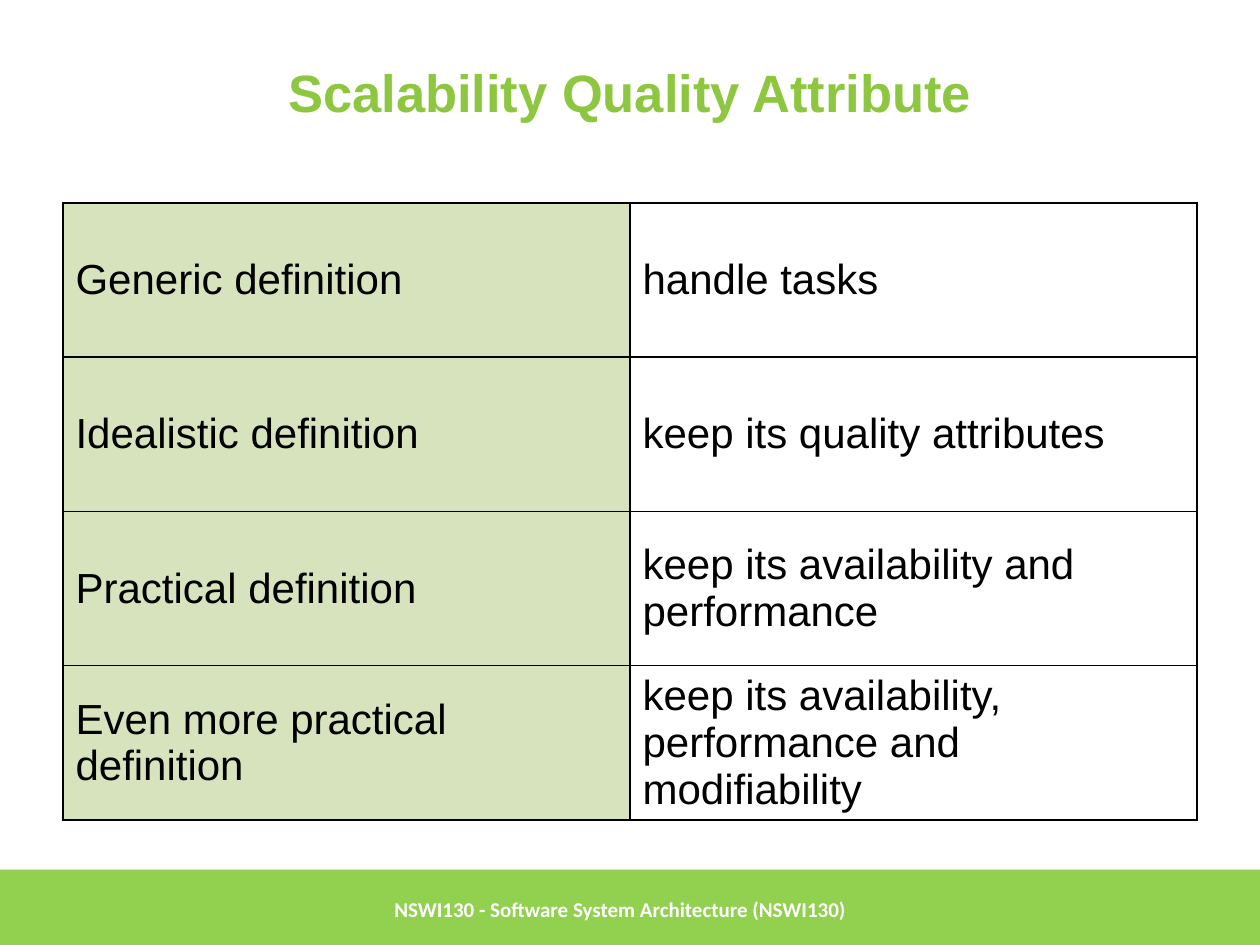
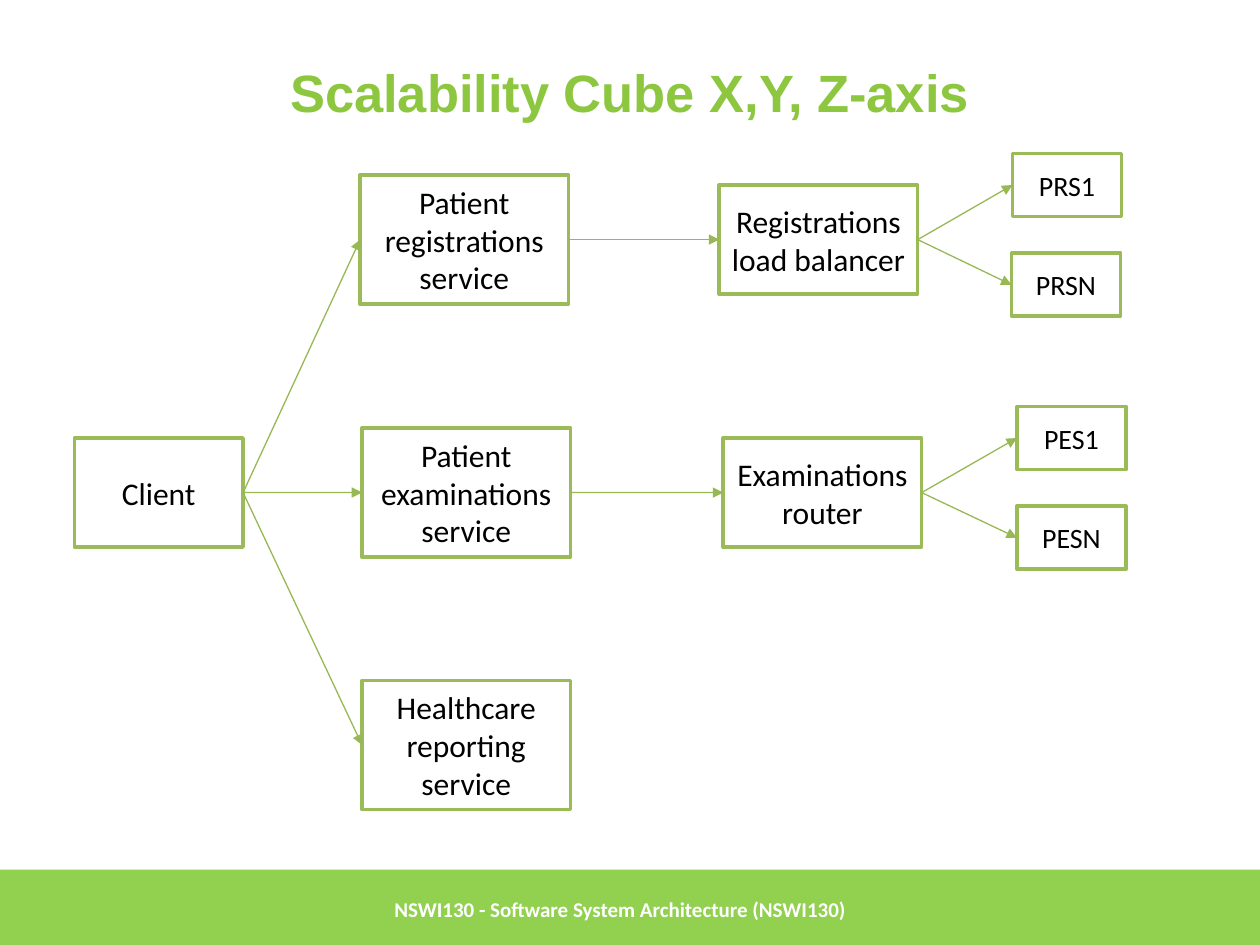
"""Build two slides on scalability: a table of definitions and a service diagram."""
from lxml.etree import SubElement
from pptx import Presentation
from pptx.enum.shapes import MSO_CONNECTOR, MSO_SHAPE
from pptx.enum.text import MSO_ANCHOR, MSO_AUTO_SIZE, PP_ALIGN
from pptx.dml.color import RGBColor
from pptx.oxml.ns import qn
from pptx.util import Cm, Pt

TITLE_GREEN, BAND_GREEN, CELL_GREEN = "8DC63F", "92D050", "D6E3BC"
BOX_GREEN, ARROW_GREEN = "9BBB59", "97B853"
BLACK, WHITE = "000000", "FFFFFF"
FOOTER = "NSWI130 - Software System Architecture (NSWI130)"


def paint(fill, color):
    fill.solid()
    fill.fore_color.rgb = RGBColor.from_string(color)


def write(tf, text, size=18, font="Calibri", color=BLACK, bold=False, align=PP_ALIGN.CENTER):
    tf.word_wrap = True
    tf.auto_size = MSO_AUTO_SIZE.NONE
    tf.vertical_anchor = MSO_ANCHOR.MIDDLE
    p = tf.paragraphs[0]
    p.alignment = align
    r = p.add_run()
    r.text = text
    r.font.size, r.font.name, r.font.bold = Pt(size), font, bold
    paint(r.font.fill, color)


prs = Presentation()
prs.slide_width, prs.slide_height = Cm(25.4), Cm(19.05)

for title in ("Scalability Quality Attribute", "Scalability Cube X,Y, Z-axis"):
    s = prs.slides.add_slide(prs.slide_layouts[5])
    sp = s.shapes.title
    sp.left, sp.top, sp.width, sp.height = Cm(1.27), Cm(0.76), Cm(22.86), Cm(2.16)
    write(sp.text_frame, title, size=30, font="Arial", color=TITLE_GREEN, bold=True)

    sp = s.shapes.add_shape(MSO_SHAPE.RECTANGLE, 0, Cm(17.53), prs.slide_width, Cm(1.6))
    sp.shadow.inherit = False
    paint(sp.fill, BAND_GREEN)
    sp.line.fill.background()

    sp = s.shapes.add_textbox(Cm(7.7), Cm(17.53), Cm(15.3), Cm(1.6))
    write(sp.text_frame, FOOTER, size=12, color=WHITE, bold=True, align=PP_ALIGN.LEFT)

table_slide, diagram_slide = prs.slides

definitions = [
    ("Generic definition", "handle tasks"),
    ("Idealistic definition", "keep its quality attributes"),
    ("Practical definition", "keep its availability and performance"),
    ("Even more practical definition", "keep its availability, performance and modifiability"),
]
table = table_slide.shapes.add_table(
    len(definitions), 2, Cm(1.27), Cm(4.09), Cm(22.86), Cm(12.44)).table
table.first_row = table.horz_banding = False
for i, row in enumerate(definitions):
    for j, text in enumerate(row):
        cell = table.cell(i, j)
        write(cell.text_frame, text, size=24, font="Arial", align=PP_ALIGN.LEFT)
        cell.vertical_anchor = MSO_ANCHOR.MIDDLE
        tcPr = cell._tc.get_or_add_tcPr()
        for side in ("a:lnL", "a:lnR", "a:lnT", "a:lnB"):
            ln = SubElement(tcPr, qn(side), w=str(Pt(1)))
            SubElement(SubElement(ln, qn("a:solidFill")), qn("a:srgbClr"), val=BLACK)
        paint(cell.fill, WHITE if j else CELL_GREEN)

top, middle, bottom = 4.83, 9.93, 15.02
client, service, router, instance = (3.4, 2.2, 18), (4.2, 2.6, 18), (4, 2.2, 18), (2.2, 1.27, 16)
up, down = -1.1, 0.91
nodes = [
    ("Client", 1.5, middle, client),
    ("Patient registrations service", 7.26, top, service),
    ("Patient examinations service", 7.3, middle, service),
    ("Healthcare reporting service", 7.3, bottom, service),
    ("Registrations load balancer", 14.5, top, router),
    ("Examinations router", 14.58, middle, router),
    ("PRS1", 20.41, top + up, instance),
    ("PRSN", 20.39, top + down, instance),
    ("PES1", 20.5, middle + up, instance),
    ("PESN", 20.5, middle + down, instance),
]
boxes = {}
for text, left, center, (width, height, size) in nodes:
    sp = diagram_slide.shapes.add_shape(
        MSO_SHAPE.RECTANGLE, Cm(left), Cm(center - height / 2), Cm(width), Cm(height))
    sp.shadow.inherit = False
    paint(sp.fill, WHITE)
    paint(sp.line.fill, BOX_GREEN)
    sp.line.width = Pt(2)
    write(sp.text_frame, text, size=size)
    boxes[text] = sp

calls = {
    "Client": ["Patient registrations service", "Patient examinations service",
               "Healthcare reporting service"],
    "Patient registrations service": ["Registrations load balancer"],
    "Patient examinations service": ["Examinations router"],
    "Registrations load balancer": ["PRS1", "PRSN"],
    "Examinations router": ["PES1", "PESN"],
}
for source, targets in calls.items():
    for target in targets:
        c = diagram_slide.shapes.add_connector(MSO_CONNECTOR.STRAIGHT, 0, 0, 0, 0)
        c.begin_connect(boxes[source], 3)
        c.end_connect(boxes[target], 1)
        paint(c.line.fill, ARROW_GREEN)
        c.line.width = Pt(0.75)
        spPr = c._element.spPr
        SubElement(spPr.find(qn("a:ln")), qn("a:tailEnd"), type="triangle")
        SubElement(spPr, qn("a:effectLst"))

prs.save("out.pptx")
